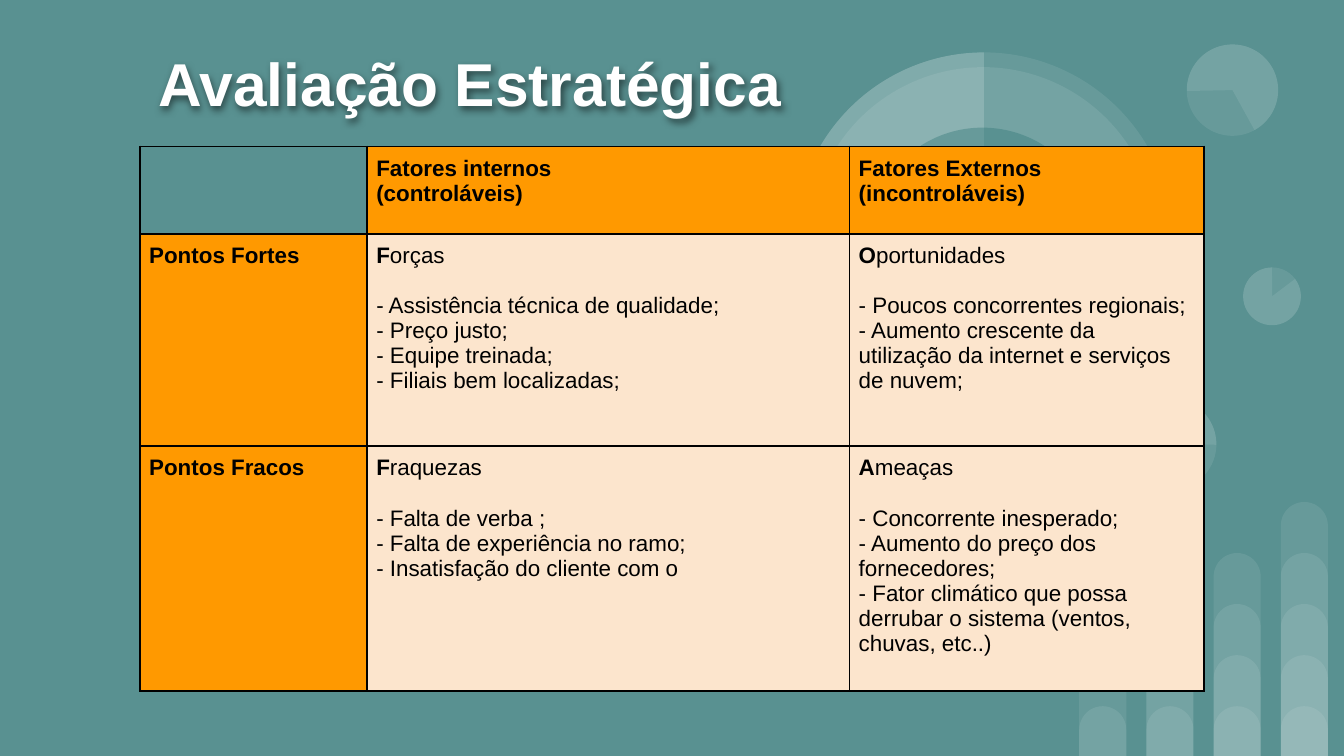
from dataclasses import dataclass

from lxml.etree import SubElement
from pptx import Presentation
from pptx.dml.color import RGBColor
from pptx.enum.shapes import MSO_SHAPE
from pptx.enum.text import MSO_ANCHOR, MSO_AUTO_SIZE, PP_ALIGN
from pptx.oxml.ns import qn
from pptx.util import Inches, Pt

FONT = "Arial"
TEAL = "599191"
WHITE = "FFFFFF"
BLACK = "000000"
ORANGE = "FF9900"
PEACH = "FCE5CD"
VEIL_OPACITY = 9
SLIDE_WIDTH = 10
SLIDE_HEIGHT = SLIDE_WIDTH * 9 / 16
BAR_WIDTH = 0.35
BAR_STEP = 0.38
COLUMN_WIDTHS = (1.69, 3.59, 2.64)
ROW_HEIGHTS = (0.65, 1.58, 1.82)


@dataclass(frozen=True)
class Disc:
    left: float
    top: float
    size: float
    rotation: float = 0
    angles: tuple[float, ...] = ()
    color: str = WHITE
    opacity: int = VEIL_OPACITY


@dataclass(frozen=True)
class Label:
    lines: tuple[str, ...] = ()
    fill: str | None = ORANGE


@dataclass(frozen=True)
class Quadrant:
    heading: str
    items: tuple[str, ...]
    fill: str = PEACH


DISCS = (
    Disc(9.25, 1.99, 0.43),
    Disc(7.08, 3.81, 0.35, 196.2),
    Disc(8.36, 2.96, 0.69, 90),
    Disc(8.36, 2.96, 0.69, 90, (82.45, 162.46)),
    Disc(8.5, 3.09, 0.43, 90),
    Disc(9.25, 1.99, 0.43, 0, (193.77, 162)),
    Disc(8.83, 0.33, 0.68, 215.9),
    Disc(8.83, 0.33, 0.68, 215.9, (193.77, 123.14)),
    Disc(5.91, 0.39, 2.82),
    Disc(6.02, 0.5, 2.59, 34.1),
    Disc(5.91, 0.39, 2.82, 0, (88.01, 162)),
    Disc(6.46, 0.95, 1.7, 34.1, (), TEAL, 100),
    Disc(5.91, 0.39, 2.82, 0, (125.54, 162)),
    Disc(7.08, 3.81, 0.35, 196.2, (193.77, 162)),
)

CELLS = (
    (
        Label(fill=None),
        Label(("Fatores internos", "(controláveis)")),
        Label(("Fatores Externos (incontroláveis)",)),
    ),
    (
        Label(("Pontos Fortes",)),
        Quadrant("Forças", (
            "- Assistência técnica de qualidade;",
            "- Preço justo;",
            "- Equipe treinada;",
            "- Filiais bem localizadas;",
        )),
        Quadrant("Oportunidades", (
            "- Poucos concorrentes regionais;",
            "- Aumento crescente da utilização da internet e serviços de nuvem;",
        )),
    ),
    (
        Label(("Pontos Fracos",)),
        Quadrant("Fraquezas", (
            "- Falta de verba ;",
            "- Falta de experiência no ramo;",
            "- Insatisfação do cliente com o",
        )),
        Quadrant("Ameaças", (
            "- Concorrente inesperado;",
            "- Aumento do preço dos fornecedores;",
            "- Fator climático que possa derrubar o sistema (ventos, chuvas, etc..)",
        )),
    ),
)


def rgb(color: str) -> RGBColor:
    return RGBColor.from_string(color)


def set_font(font, size: float, color: str, bold: bool) -> None:
    font.name = FONT
    font.size = Pt(size)
    font.color.rgb = rgb(color)
    font.bold = bold


def add_shape(slide, kind, left: float, top: float, width: float, height: float,
              color: str = WHITE, opacity: int = VEIL_OPACITY):
    shape = slide.shapes.add_shape(kind, Inches(left), Inches(top), Inches(width), Inches(height))
    shape.shadow.inherit = False
    shape.fill.solid()
    shape.fill.fore_color.rgb = rgb(color)
    shape.line.fill.background()
    if opacity < 100:
        color_element = shape.element.spPr.find(qn("a:solidFill"))[0]
        SubElement(color_element, qn("a:alpha"), val=str(opacity * 1000))
    return shape


def add_bars(slide) -> None:
    for column in range(4):
        for step in range(1, column + 3):
            height = step * BAR_STEP - 0.01
            bar = add_shape(slide, MSO_SHAPE.ROUND_2_SAME_RECTANGLE, 8.03 + column * 0.5,
                            SLIDE_HEIGHT - height, BAR_WIDTH, height)
            bar.adjustments[0] = 0.5
            bar.adjustments[1] = 0


def add_disc(slide, disc: Disc) -> None:
    kind = MSO_SHAPE.PIE if disc.angles else MSO_SHAPE.OVAL
    shape = add_shape(slide, kind, disc.left, disc.top, disc.size, disc.size,
                      disc.color, disc.opacity)
    shape.rotation = disc.rotation
    for index, angle in enumerate(disc.angles):
        shape.adjustments[index] = angle


def format_title(slide) -> None:
    title = slide.shapes.title
    title.left, title.top = Inches(0), Inches(0.23)
    title.width, title.height = Inches(6.99), Inches(0.76)
    title.element.getparent().append(title.element)
    frame = title.text_frame
    frame.text = "Avaliação Estratégica"
    frame.auto_size = MSO_AUTO_SIZE.NONE
    frame.vertical_anchor = MSO_ANCHOR.MIDDLE
    frame.margin_left = frame.margin_right = Inches(0.1)
    frame.margin_top = frame.margin_bottom = Inches(0.1)
    paragraph = frame.paragraphs[0]
    paragraph.alignment = PP_ALIGN.CENTER
    set_font(paragraph.font, 32.4, WHITE, True)
    effects = SubElement(title.element.spPr, qn("a:effectLst"))
    shadow = SubElement(effects, qn("a:outerShdw"), blurRad=str(Pt(4)), dist=str(Pt(2)),
                        dir="4200000", algn="bl", rotWithShape="0")
    shadow_color = SubElement(shadow, qn("a:srgbClr"), val=BLACK)
    SubElement(shadow_color, qn("a:alpha"), val="50000")


def format_cell(cell, fill: str | None) -> None:
    cell.margin_left = cell.margin_right = Inches(0.07)
    cell.margin_top = cell.margin_bottom = Inches(0.07)
    properties = cell._tc.get_or_add_tcPr()
    for side in ("lnL", "lnR", "lnT", "lnB"):
        line = SubElement(properties, qn(f"a:{side}"), w=str(Pt(1)))
        SubElement(SubElement(line, qn("a:solidFill")), qn("a:srgbClr"), val=BLACK)
    if fill is None:
        cell.fill.background()
    else:
        cell.fill.solid()
        cell.fill.fore_color.rgb = rgb(fill)


def fill_cell(cell, content: Label | Quadrant) -> None:
    format_cell(cell, content.fill)
    is_label = isinstance(content, Label)
    lines = content.lines if is_label else (content.heading, *content.items)
    cell.text = "\n".join(lines)
    for paragraph in cell.text_frame.paragraphs:
        set_font(paragraph.font, 12, BLACK, is_label)
    if not is_label:
        heading = cell.text_frame.paragraphs[0]
        heading.space_after = Pt(13.4)
        initial = heading.runs[0]
        initial.text = content.heading[0]
        initial.font.bold = True
        heading.add_run().text = content.heading[1:]


def add_matrix(slide) -> None:
    table = slide.shapes.add_table(len(ROW_HEIGHTS), len(COLUMN_WIDTHS), Inches(1.04), Inches(1.09),
                                   Inches(sum(COLUMN_WIDTHS)), Inches(sum(ROW_HEIGHTS))).table
    table.first_row = table.horz_banding = False
    for column, width in zip(table.columns, COLUMN_WIDTHS):
        column.width = Inches(width)
    for row, height, contents in zip(table.rows, ROW_HEIGHTS, CELLS):
        row.height = Inches(height)
        for cell, content in zip(row.cells, contents):
            fill_cell(cell, content)


def main() -> None:
    presentation = Presentation()
    presentation.slide_width = Inches(SLIDE_WIDTH)
    presentation.slide_height = Inches(SLIDE_HEIGHT)
    slide = presentation.slides.add_slide(presentation.slide_layouts[5])
    slide.background.fill.solid()
    slide.background.fill.fore_color.rgb = rgb(TEAL)
    add_bars(slide)
    for disc in DISCS:
        add_disc(slide, disc)
    format_title(slide)
    add_matrix(slide)
    presentation.save("out.pptx")


if __name__ == "__main__":
    main()
